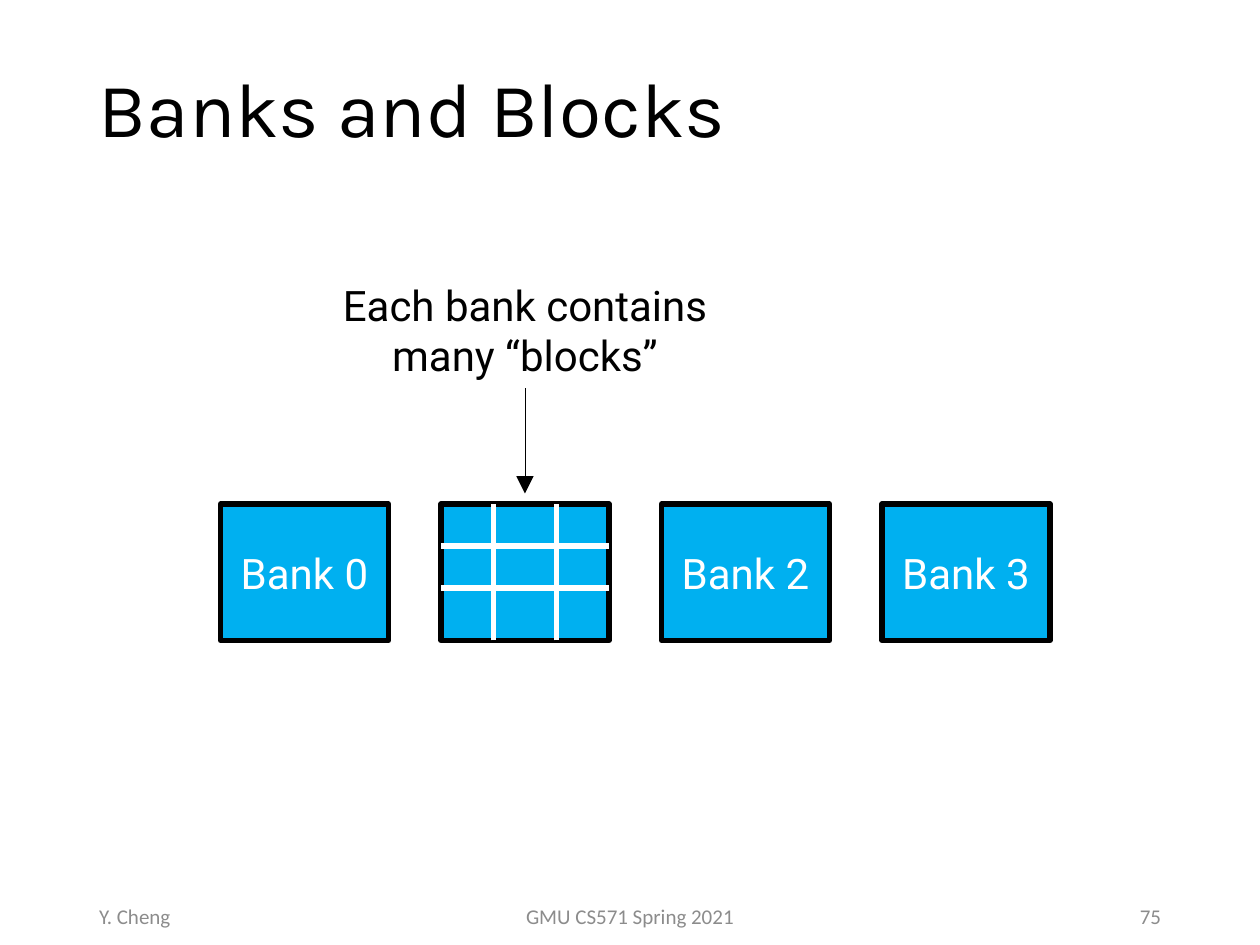
from dataclasses import dataclass

from lxml.etree import SubElement
from pptx import Presentation
from pptx.dml.color import RGBColor
from pptx.enum.shapes import MSO_CONNECTOR as Connector, MSO_SHAPE as Shape
from pptx.enum.text import MSO_ANCHOR as Anchor, PP_ALIGN as Align
from pptx.oxml.ns import qn
from pptx.util import Pt


@dataclass(frozen=True)
class Style:
    font: str
    size: float
    color: RGBColor


class Theme:
    black = RGBColor(0, 0, 0)
    white = RGBColor(255, 255, 255)
    blue = RGBColor(0, 176, 240)
    gray = RGBColor(140, 140, 140)
    title = Style("Karla", 44, black)
    note = Style("Roboto", 24, black)
    bank = Style("Roboto", 24, white)
    footer = Style("Calibri", 12, gray)
    thick, thin = 3, 0.5


def write(shape, text, style, align, anchor=Anchor.MIDDLE):
    frame = shape.text_frame
    frame.word_wrap = True
    frame.vertical_anchor = anchor
    para = frame.paragraphs[0]
    para.text = text
    para.alignment = align
    para.font.name = style.font
    para.font.size = Pt(style.size)
    para.font.color.rgb = style.color
    return para


def add_text(page, box, *content):
    return write(page.shapes.add_textbox(*map(Pt, box)), *content)


def add_line(page, start, end, color, width):
    line = page.shapes.add_connector(Connector.STRAIGHT, *map(Pt, (*start, *end)))
    line.line.color.rgb = color
    line.line.width = Pt(width)
    SubElement(line._element.spPr, qn("a:effectLst"))
    return line


def add_title(page, box):
    para = add_text(page, box, "Banks and Blocks", Theme.title, Align.LEFT)
    para.line_spacing = 0.9


def add_bank(page, box, label):
    bank = page.shapes.add_shape(Shape.RECTANGLE, *map(Pt, box))
    bank.shadow.inherit = False
    bank.fill.solid()
    bank.fill.fore_color.rgb = Theme.blue
    bank.line.color.rgb = Theme.black
    bank.line.width = Pt(Theme.thick)
    if label:
        write(bank, label, Theme.bank, Align.CENTER)


def add_blocks(page, box):
    left, top, width, height = box
    for y in (top + 24, top + 48):
        add_line(page, (left, y), (left + width, y), Theme.white, Theme.thick)
    for x in (left + 30, left + 66):
        add_line(page, (x, top + height), (x, top), Theme.white, Theme.thick)


def add_banks(page, box, labels, gap=30):
    left, top, width, height = box
    bank_width = (width - gap * (len(labels) - 1)) / len(labels)
    for index, label in enumerate(labels):
        bank_box = (left + index * (bank_width + gap), top, bank_width, height)
        add_bank(page, bank_box, label)
        if not label:
            add_blocks(page, bank_box)


def add_note(page, box, arrow_length):
    left, top, width, height = box
    add_text(page, box, "Each bank contains many “blocks”", Theme.note, Align.CENTER, Anchor.TOP)
    middle, bottom = left + width / 2, top + height
    arrow = add_line(page, (middle, bottom), (middle, bottom + arrow_length), Theme.black, Theme.thin)
    SubElement(arrow.line._get_or_add_ln(), qn("a:tailEnd"), type="triangle", w="lg", len="lg")


def add_footer(page, box):
    left, top, width, height = box
    side, center = 162, 243
    add_text(page, (left + (width - center) / 2, top, center, height),
             "GMU CS571 Spring 2021", Theme.footer, Align.CENTER)
    add_text(page, (left, top, side, height), "Y. Cheng", Theme.footer, Align.LEFT)
    add_text(page, (left + width - side, top, side, height), "75", Theme.footer, Align.RIGHT)


def main():
    deck = Presentation()
    deck.slide_width, deck.slide_height = Pt(720), Pt(540)
    page = deck.slides.add_slide(deck.slide_layouts[6])
    add_title(page, (49.5, 12, 621, 104.5))
    add_banks(page, (126, 288, 474, 78), ("Bank 0", "", "Bank 2", "Bank 3"))
    add_note(page, (162, 156, 276, 66), 60)
    add_footer(page, (49.5, 509, 621, 29))
    deck.save("out.pptx")


if __name__ == "__main__":
    main()
